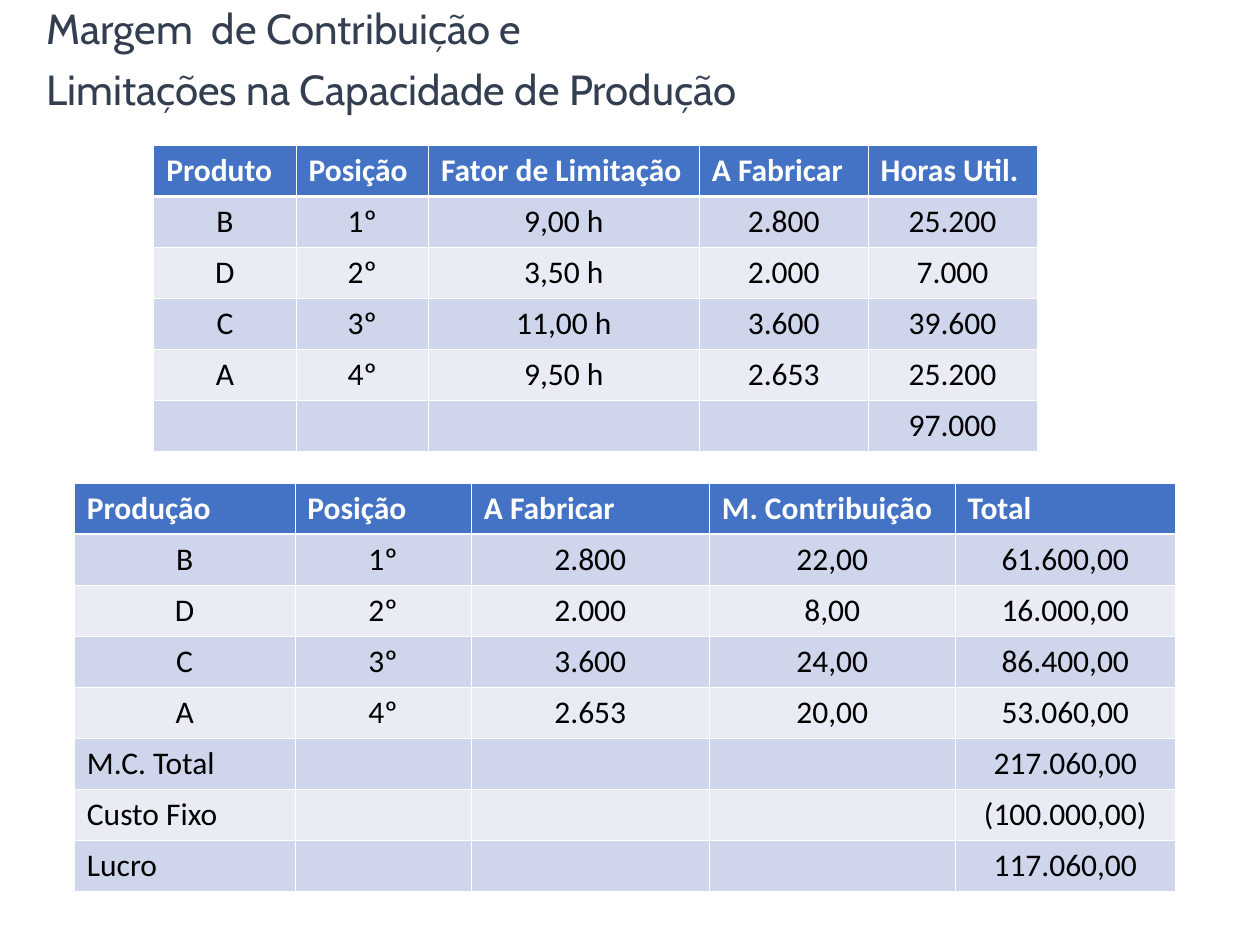
from dataclasses import dataclass

from lxml.etree import SubElement
from pptx import Presentation
from pptx.dml.color import RGBColor
from pptx.enum.text import MSO_ANCHOR, PP_ALIGN as Align
from pptx.oxml.ns import qn
from pptx.slide import Slide
from pptx.table import _Cell as Cell
from pptx.util import Inches, Pt

WIDTH, HEIGHT = Inches(10), Inches(7.5)
WHITE = RGBColor(0xFF, 0xFF, 0xFF)
BLACK = RGBColor(0x00, 0x00, 0x00)
SLATE = RGBColor(0x33, 0x3F, 0x50)
HEADER = RGBColor(0x44, 0x72, 0xC4)
BANDS = RGBColor(0xE9, 0xEB, 0xF5), RGBColor(0xCF, 0xD5, 0xEA)
ROW_HEIGHT = 5.4
THIN, THICK = 0.45, 1.47

TITLE = ("Margem  de Contribuição e", "Limitações na Capacidade de Produção")


@dataclass(frozen=True)
class Grid:
    """A table with its place and column widths in percent of the slide."""

    left: float
    top: float
    columns: tuple[float, ...]
    rows: tuple[tuple[str, ...], ...]


LIMITS = Grid(12.2, 15.4, (11.3, 10.5, 21.5, 13.4, 13.4), (
    ("Produto", "Posição", "Fator de Limitação", "A Fabricar", "Horas Util."),
    ("B", "1º", "9,00 h", "2.800", "25.200"),
    ("D", "2º", "3,50 h", "2.000", "7.000"),
    ("C", "3º", "11,00 h", "3.600", "39.600"),
    ("A", "4º", "9,50 h", "2.653", "25.200"),
    ("", "", "", "", "97.000"),
))
RESULTS = Grid(5.9, 51.1, (17.5, 14, 18.9, 19.5, 17.5), (
    ("Produção", "Posição", "A Fabricar", "M. Contribuição", "Total"),
    ("B", "1º", "2.800", "22,00", "61.600,00"),
    ("D", "2º", "2.000", "8,00", "16.000,00"),
    ("C", "3º", "3.600", "24,00", "86.400,00"),
    ("A", "4º", "2.653", "20,00", "53.060,00"),
    ("M.C. Total", "", "", "", "217.060,00"),
    ("Custo Fixo", "", "", "", "(100.000,00)"),
    ("Lucro", "", "", "", "117.060,00"),
))


def across(percent: float) -> int:
    """Turn a percentage of the slide's width into a length."""
    return round(WIDTH * percent / 100)


def down(percent: float) -> int:
    """Turn a percentage of the slide's height into a length."""
    return round(HEIGHT * percent / 100)


def add_title(s: Slide) -> None:
    """Write the two title lines."""
    box = s.shapes.add_textbox(across(2.7), down(-0.4), across(94.5), down(13.2))
    tf = box.text_frame
    tf.word_wrap = True
    for i, line in enumerate(TITLE):
        p = tf.add_paragraph() if i else tf.paragraphs[0]
        p.alignment = Align.JUSTIFY
        p.space_before = Pt(6 if i else 0)
        r = p.add_run()
        r.text = line
        r.font.name, r.font.size = "Cabin", Pt(24)
        r.font.color.rgb = SLATE


def set_borders(cell: Cell, row: int) -> None:
    """Rule the cell in white, thicker between header and body."""
    widths = {"L": THIN, "R": THIN, "T": THICK if row == 1 else THIN,
              "B": THICK if row == 0 else THIN}
    for side, width in widths.items():
        ln = SubElement(cell._tc.get_or_add_tcPr(), qn(f"a:ln{side}"), w=str(Pt(width)))
        fill = SubElement(ln, qn("a:solidFill"))
        SubElement(fill, qn("a:srgbClr"), val=str(WHITE))


def fill_cell(cell: Cell, text: str, row: int, col: int) -> None:
    """Style one cell and write its text."""
    header = row == 0
    set_borders(cell, row)
    cell.fill.solid()
    cell.fill.fore_color.rgb = HEADER if header else BANDS[row % 2]
    cell.vertical_anchor = MSO_ANCHOR.TOP
    if not text:
        return
    p = cell.text_frame.paragraphs[0]
    row_label = col == 0 and len(text) > 1
    p.alignment = Align.LEFT if header or row_label else Align.CENTER
    r = p.add_run()
    r.text = text
    r.font.name, r.font.size, r.font.bold = "Calibri", Pt(18), header
    r.font.color.rgb = WHITE if header else BLACK


def add_grid(s: Slide, grid: Grid) -> None:
    """Draw one table."""
    count = len(grid.rows)
    table = s.shapes.add_table(
        count, len(grid.columns), across(grid.left), down(grid.top),
        across(sum(grid.columns)), down(ROW_HEIGHT * count)).table
    for column, width in zip(table.columns, grid.columns):
        column.width = across(width)
    for i, texts in enumerate(grid.rows):
        table.rows[i].height = down(ROW_HEIGHT)
        for j, text in enumerate(texts):
            fill_cell(table.cell(i, j), text, i, j)


def main() -> None:
    """Build and save the slide."""
    prs = Presentation()
    prs.slide_width, prs.slide_height = WIDTH, HEIGHT
    s = prs.slides.add_slide(prs.slide_layouts[6])
    add_title(s)
    for grid in (LIMITS, RESULTS):
        add_grid(s, grid)
    prs.save("out.pptx")


if __name__ == "__main__":
    main()
